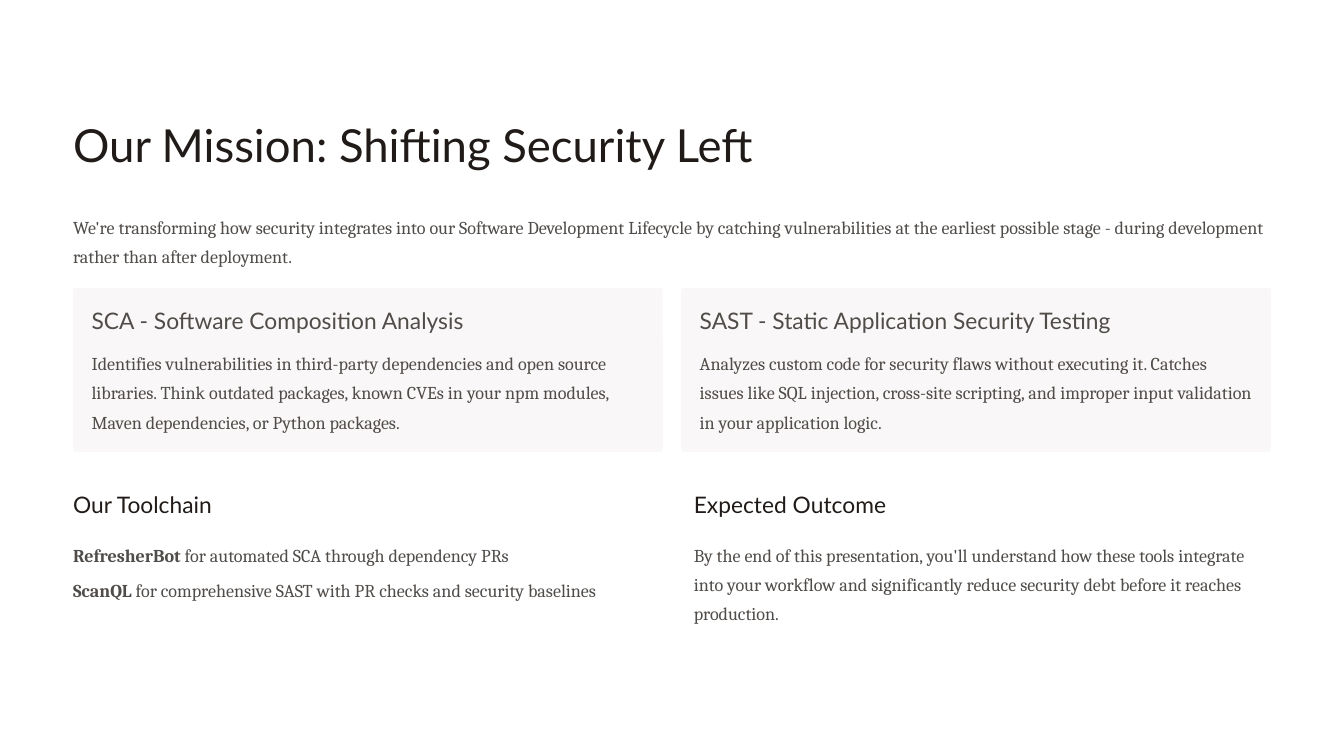
from dataclasses import dataclass

from lxml import etree
from pptx import Presentation
from pptx.dml.color import RGBColor
from pptx.enum.shapes import MSO_SHAPE
from pptx.enum.text import MSO_ANCHOR, MSO_AUTO_SIZE, PP_ALIGN
from pptx.oxml.ns import qn
from pptx.slide import Slide
from pptx.text.text import TextFrame
from pptx.util import Inches, Pt

ROUNDED = MSO_SHAPE.ROUNDED_RECTANGLE
TOP = MSO_ANCHOR.TOP
LEFT = PP_ALIGN.LEFT
NO_AUTOFIT = MSO_AUTO_SIZE.NONE

COLORS = {"heading": "201B18", "text": "504C49", "card": "F9F7F7", "background": "FFFFFF"}

MARGIN = 0.87
CONTENT_W = 14.26
CARD_TOP, CARD_W, CARD_H, CARD_GAP = 3.43, 7.02, 1.95, 0.22
COLUMN_W = 6.87
COLUMN_X = (MARGIN, MARGIN + CONTENT_W - COLUMN_W)
HEADING_TOP, LIST_TOP = 5.83, 6.39


@dataclass(frozen=True)
class TextStyle:
    font: str
    size: float
    line: float
    color: str


@dataclass(frozen=True)
class Box:
    left: float
    top: float
    width: float
    height: float


@dataclass(frozen=True)
class Card:
    heading: str
    text: str


@dataclass(frozen=True)
class Tool:
    name: str
    purpose: str


TITLE = TextStyle("Lato", 39, 48.5, "heading")
SECTION = TextStyle("Lato", 19.5, 24, "heading")
CARD_HEADING = TextStyle("Lato", 19.5, 24, "text")
BODY = TextStyle("Cambria", 15.5, 25, "text")

CARDS = (
    Card(
        "SCA - Software Composition Analysis",
        "Identifies vulnerabilities in third-party dependencies and open source libraries. "
        "Think outdated packages, known CVEs in your npm modules, Maven dependencies, "
        "or Python packages.",
    ),
    Card(
        "SAST - Static Application Security Testing",
        "Analyzes custom code for security flaws without executing it. Catches issues like "
        "SQL injection, cross-site scripting, and improper input validation in your "
        "application logic.",
    ),
)
TOOLS = (
    Tool("RefresherBot", " for automated SCA through dependency PRs"),
    Tool("ScanQL", " for comprehensive SAST with PR checks and security baselines"),
)
SECTIONS = ("Our Toolchain", "Expected Outcome")
INTRO = (
    "We're transforming how security integrates into our Software Development Lifecycle by "
    "catching vulnerabilities at the earliest possible stage - during development rather "
    "than after deployment."
)
OUTCOME = (
    "By the end of this presentation, you'll understand how these tools integrate into your "
    "workflow and significantly reduce security debt before it reaches production."
)


def rgb(name: str) -> RGBColor:
    return RGBColor.from_string(COLORS[name])


def place(sp, box: Box) -> TextFrame:
    sp.left, sp.top = Inches(box.left), Inches(box.top)
    sp.width, sp.height = Inches(box.width), Inches(box.height)
    tf = sp.text_frame
    tf.margin_left = tf.margin_top = tf.margin_right = tf.margin_bottom = 0
    tf.word_wrap = True
    tf.auto_size = NO_AUTOFIT
    tf.vertical_anchor = TOP
    return tf


def write(p, style: TextStyle, runs: list[tuple[str, bool]]) -> None:
    p.alignment = LEFT
    p.line_spacing = Pt(style.line)
    p.space_before = Pt(0)
    for text, bold in runs:
        r = p.add_run()
        r.text = text
        r.font.name = style.font
        r.font.size = Pt(style.size)
        r.font.bold = bold
        r.font.color.rgb = rgb(style.color)


def add_text(s: Slide, box: Box, text: str, style: TextStyle) -> None:
    tf = place(s.shapes.add_textbox(0, 0, 0, 0), box)
    write(tf.paragraphs[0], style, [(text, False)])


def add_card(s: Slide, left: float, card: Card) -> None:
    sp = s.shapes.add_shape(
        ROUNDED, Inches(left), Inches(CARD_TOP), Inches(CARD_W), Inches(CARD_H)
    )
    sp.adjustments[0] = 0.017
    sp.shadow.inherit = False
    sp.fill.solid()
    sp.fill.fore_color.rgb = rgb("card")
    sp.line.fill.background()
    inner_left, inner_w = left + 0.22, 6.59
    add_text(s, Box(inner_left, CARD_TOP + 0.21, inner_w, 0.34), card.heading, CARD_HEADING)
    add_text(s, Box(inner_left, CARD_TOP + 0.68, inner_w, 1.04), card.text, BODY)


def fill_tools(tf: TextFrame) -> None:
    for i, tool in enumerate(TOOLS):
        p = tf.add_paragraph() if i else tf.paragraphs[0]
        write(p, BODY, [(tool.name, True), (tool.purpose, False)])
        p.space_before = Pt(5 if i else 0)
        pPr = p._p.get_or_add_pPr()
        pPr.set("marL", "0")
        pPr.set("indent", "0")
        etree.SubElement(pPr, qn("a:buNone"))


def main() -> None:
    prs = Presentation()
    prs.slide_width, prs.slide_height = Inches(16), Inches(9)
    s = prs.slides.add_slide(prs.slide_layouts[1])
    s.background.fill.solid()
    s.background.fill.fore_color.rgb = rgb("background")

    title = place(s.shapes.title, Box(MARGIN, 1.37, CONTENT_W, 0.68))
    write(title.paragraphs[0], TITLE, [("Our Mission: Shifting Security Left", False)])
    add_text(s, Box(MARGIN, 2.49, CONTENT_W, 0.69), INTRO, BODY)

    for i, card in enumerate(CARDS):
        add_card(s, MARGIN + i * (CARD_W + CARD_GAP), card)

    for left, heading in zip(COLUMN_X, SECTIONS):
        add_text(s, Box(left, HEADING_TOP, COLUMN_W, 0.34), heading, SECTION)
    fill_tools(place(s.placeholders[1], Box(COLUMN_X[0], LIST_TOP, COLUMN_W, 1.11)))
    add_text(s, Box(COLUMN_X[1], LIST_TOP, COLUMN_W, 1.04), OUTCOME, BODY)

    prs.save("out.pptx")


if __name__ == "__main__":
    main()
